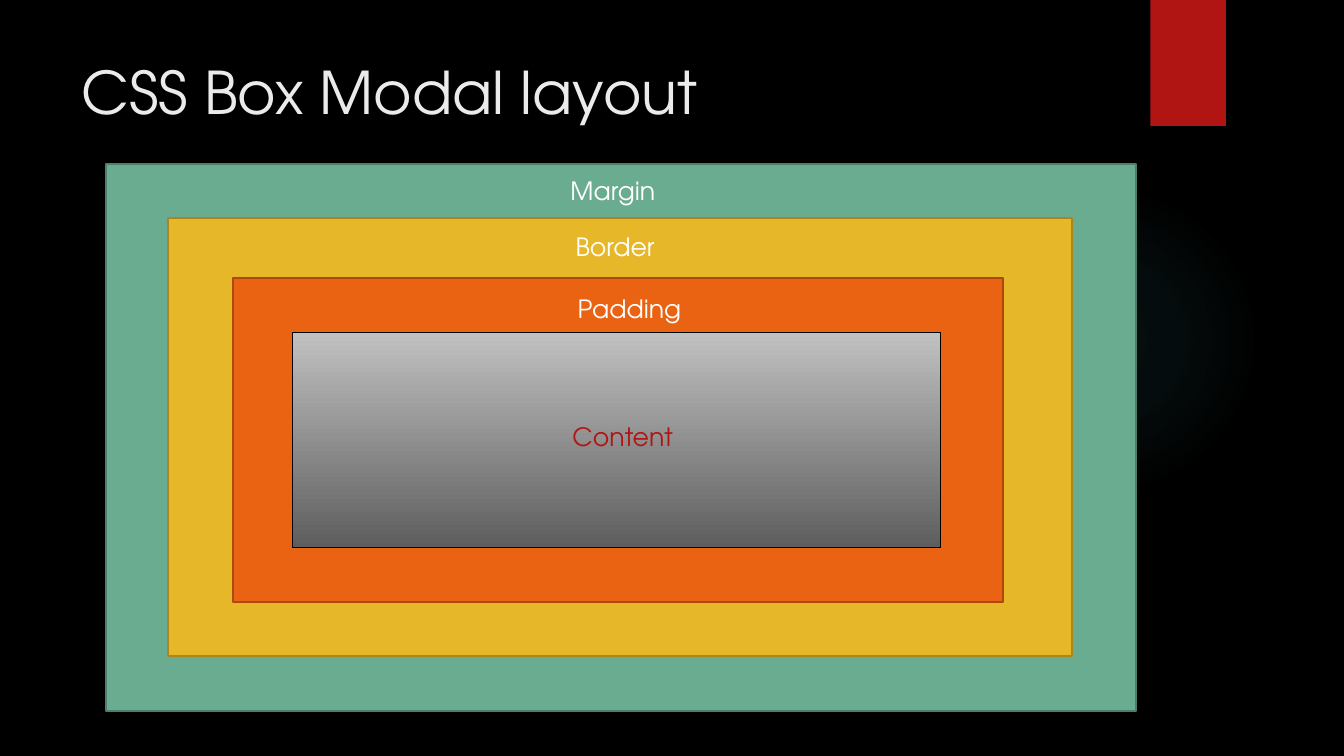
from lxml import etree
from pptx import Presentation
from pptx.dml.color import RGBColor
from pptx.enum.shapes import MSO_SHAPE
from pptx.enum.text import MSO_ANCHOR, MSO_AUTO_SIZE
from pptx.oxml.ns import qn
from pptx.util import Inches, Pt

RECT = MSO_SHAPE.RECTANGLE
OVAL = MSO_SHAPE.OVAL
TOP = MSO_ANCHOR.TOP
GROW = MSO_AUTO_SIZE.SHAPE_TO_FIT_TEXT
FIXED = MSO_AUTO_SIZE.NONE

COLORS = {
    "black": "000000", "white": "FFFFFF", "title": "EBEBEB",
    "red": "B01513", "glow": "50B9C1",
    "green": "6AAC90", "green edge": "4E7F6B",
    "gold": "E6B729", "gold edge": "AA871E",
    "orange": "EA6312", "orange edge": "AD490D",
    "light": "C1C1C1", "dark": "5E5E5E",
}


class Deck:
    font = "TeX Gyre Adventor"

    def __init__(self, slide):
        self.slide = slide

    def color(self, name):
        return RGBColor.from_string(COLORS[name])

    def back(self, name):
        fill = self.slide.background.fill
        fill.solid()
        fill.fore_color.rgb = self.color(name)

    def shape(self, kind, box, fill=None, edge=None, width=1.5):
        item = self.slide.shapes.add_shape(kind, *map(Inches, box))
        item.shadow.inherit = False
        if fill:
            item.fill.solid()
            item.fill.fore_color.rgb = self.color(fill)
        else:
            item.fill.background()
        if edge:
            item.line.color.rgb = self.color(edge)
            item.line.width = Pt(width)
        else:
            item.line.fill.background()
        return item

    def blend(self, item, stops, angle=None):
        grad = etree.Element(qn("a:gradFill"), rotWithShape="1")
        row = etree.SubElement(grad, qn("a:gsLst"))
        for spot, name, alpha in stops:
            stop = etree.SubElement(row, qn("a:gs"), pos=str(spot * 1000))
            tint = etree.SubElement(stop, qn("a:srgbClr"), val=COLORS[name])
            if alpha < 100:
                etree.SubElement(tint, qn("a:alpha"), val=str(alpha * 1000))
        if angle is None:
            ring = etree.SubElement(grad, qn("a:path"), path="circle")
            sides = dict.fromkeys("ltrb", "50000")
            etree.SubElement(ring, qn("a:fillToRect"), **sides)
        else:
            etree.SubElement(grad, qn("a:lin"), ang=str(angle * 60000), scaled="0")
        props = item.element.spPr
        props.replace(props.find(qn("a:noFill")), grad)

    def text(self, words, box, size, color, fit=GROW):
        item = self.slide.shapes.add_textbox(*map(Inches, box))
        frame = item.text_frame
        frame.word_wrap = True
        frame.auto_size = fit
        frame.vertical_anchor = TOP
        run = frame.paragraphs[0].add_run()
        run.text = words
        run.font.name = self.font
        run.font.size = Pt(size)
        run.font.color.rgb = self.color(color)


def main():
    show = Presentation()
    show.slide_width, show.slide_height = Inches(13.33), Inches(7.5)
    deck = Deck(show.slides.add_slide(show.slide_layouts[6]))
    deck.back("black")

    glow = deck.shape(OVAL, (9.41, 1.83, 3.08, 3.08))
    deck.blend(glow, [(0, "glow", 7), (36, "glow", 6), (69, "glow", 0)])
    deck.shape(RECT, (11.41, 0, 0.75, 1.25), "red")
    deck.text("CSS Box Modal layout", (0.71, 0.5, 10.29, 1.53), 42, "title", FIXED)

    layers = [
        ("green", (1.05, 1.63, 10.22, 5.42)),
        ("gold", (1.67, 2.16, 8.96, 4.35)),
        ("orange", (2.31, 2.76, 7.64, 3.21)),
    ]
    for name, box in layers:
        deck.shape(RECT, box, name, name + " edge")
    core = deck.shape(RECT, (2.9, 3.3, 6.43, 2.13), edge="black", width=0.75)
    deck.blend(core, [(0, "light", 100), (100, "dark", 100)], 90)

    labels = [
        ("Margin", 5.56, 1.69, 1.1, "white"),
        ("Border", 5.61, 2.25, 1.1, "white"),
        ("Padding", 5.63, 2.86, 1.29, "white"),
        ("Content", 5.58, 4.13, 1.34, "red"),
    ]
    for words, left, top, width, color in labels:
        deck.text(words, (left, top, width, 0.4), 18, color)

    show.save("out.pptx")


if __name__ == "__main__":
    main()
